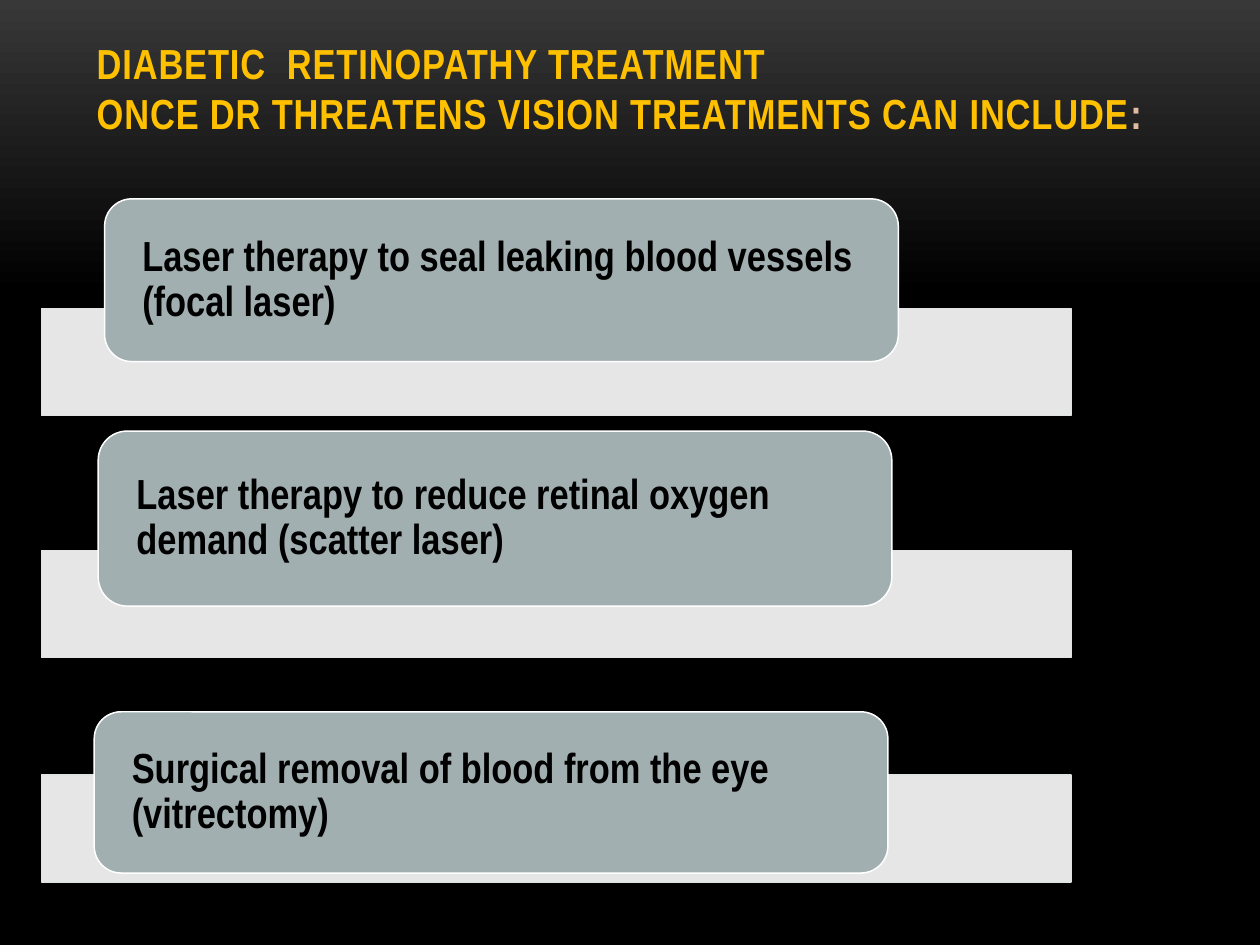
from dataclasses import dataclass

from lxml import etree
from pptx import Presentation
from pptx.dml.color import RGBColor
from pptx.enum.shapes import MSO_SHAPE
from pptx.enum.text import MSO_ANCHOR, PP_ALIGN
from pptx.oxml.ns import qn
from pptx.util import Cm, Pt

RECTANGLE, ROUNDED = MSO_SHAPE.RECTANGLE, MSO_SHAPE.ROUNDED_RECTANGLE
MIDDLE, BOTTOM, LEFT = MSO_ANCHOR.MIDDLE, MSO_ANCHOR.BOTTOM, PP_ALIGN.LEFT


@dataclass(frozen=True)
class Theme:
    """Colours, font and sizes of the slide."""
    glow: str = "383838"
    backdrop: str = "000000"
    heading: str = "FFC000"
    colon: str = "E0BBA0"
    bar: str = "FFFFFF"
    bar_edge: str = "E0E4E5"
    card: str = "A2AFB1"
    card_edge: str = "FFFFFF"
    ink: str = "000000"
    font: str = "Arial Narrow"
    text_size: float = 24
    edge_width: float = 0.85
    bar_opacity: int = 90


@dataclass(frozen=True)
class Box:
    """A region of the slide in centimetres."""
    left: float
    top: float
    width: float
    height: float

    def lengths(self):
        """Return the four lengths in slide units."""
        return [Cm(v) for v in (self.left, self.top, self.width, self.height)]


THEME = Theme()
HEADING = ("DIABETIC  RETINOPATHY TREATMENT\v"
           "ONCE DR THREATENS VISION TREATMENTS CAN INCLUDE")
TREATMENTS = [
    ("Laser therapy to seal leaking blood vessels (focal laser)",
     Box(0.84, 4.01, 20.75, 4.37), 1.27, 3.28),
    ("Laser therapy to reduce retinal oxygen demand (scatter laser)",
     Box(0.84, 8.69, 20.75, 4.57), 1.14, 3.53),
    ("Surgical removal of blood from the eye (vitrectomy)",
     Box(0.84, 14.35, 20.75, 3.43), 1.06, 3.25),
]


def style_run(run, color):
    """Apply the common bold type to a run."""
    font = run.font
    font.name, font.size, font.bold = THEME.font, Pt(THEME.text_size), True
    font.color.rgb = RGBColor.from_string(color)


def paint_background(slide):
    """Fade the slide from grey at the top to black."""
    fill = slide.background.fill
    fill.gradient()
    fill.gradient_angle = 270
    stops = ((0, THEME.glow), (0.31, THEME.backdrop))
    for stop, (position, color) in zip(fill.gradient_stops, stops):
        stop.position = position
        stop.color.rgb = RGBColor.from_string(color)


def add_heading(slide, box):
    """Place the two-line heading with its paler colon."""
    frame = slide.shapes.add_textbox(*box.lengths()).text_frame
    frame.word_wrap = True
    frame.vertical_anchor = BOTTOM
    frame.margin_bottom = Cm(1.15)
    paragraph = frame.paragraphs[0]
    paragraph.text = HEADING
    colon = paragraph.add_run()
    colon.text = ":"
    for run in paragraph.runs:
        style_run(run, THEME.heading)
        run.font._element.set("spc", "50")
    colon.font.color.rgb = RGBColor.from_string(THEME.colon)


def add_panel(slide, preset, box, color, edge):
    """Add a filled, outlined shape without a shadow."""
    panel = slide.shapes.add_shape(preset, *box.lengths())
    panel.shadow.inherit = False
    panel.fill.solid()
    panel.fill.fore_color.rgb = RGBColor.from_string(color)
    panel.line.color.rgb = RGBColor.from_string(edge)
    panel.line.width = Pt(THEME.edge_width)
    return panel


def add_treatment(slide, box, treatment, indent, card_height):
    """Place a treatment card over the bar at the foot of its box."""
    bar_height, card_width = 2.16, 16
    bar_box = Box(box.left, box.top + box.height - bar_height,
                  box.width, bar_height)
    bar = add_panel(slide, RECTANGLE, bar_box, THEME.bar, THEME.bar_edge)
    bar_color = bar._element.spPr.find(qn("a:solidFill"))[0]
    etree.SubElement(bar_color, qn("a:alpha"),
                     val=str(THEME.bar_opacity * 1000))

    card_box = Box(box.left + indent, box.top, card_width, card_height)
    card = add_panel(slide, ROUNDED, card_box, THEME.card, THEME.card_edge)
    frame = card.text_frame
    frame.word_wrap = True
    frame.vertical_anchor = MIDDLE
    frame.margin_left = frame.margin_right = Cm(0.6)
    frame.margin_top = frame.margin_bottom = 0
    frame.text = treatment
    paragraph = frame.paragraphs[0]
    paragraph.alignment = LEFT
    paragraph.line_spacing = 0.9
    style_run(paragraph.runs[0], THEME.ink)


def main():
    """Build and save the slide."""
    deck = Presentation()
    deck.slide_width, deck.slide_height = Cm(25.4), Cm(19.05)
    slide = deck.slides.add_slide(deck.slide_layouts[6])
    paint_background(slide)
    add_heading(slide, Box(1.7, 0.76, 22.02, 3.18))
    for treatment, box, indent, card_height in TREATMENTS:
        add_treatment(slide, box, treatment, indent, card_height)
    deck.save("out.pptx")


if __name__ == "__main__":
    main()
